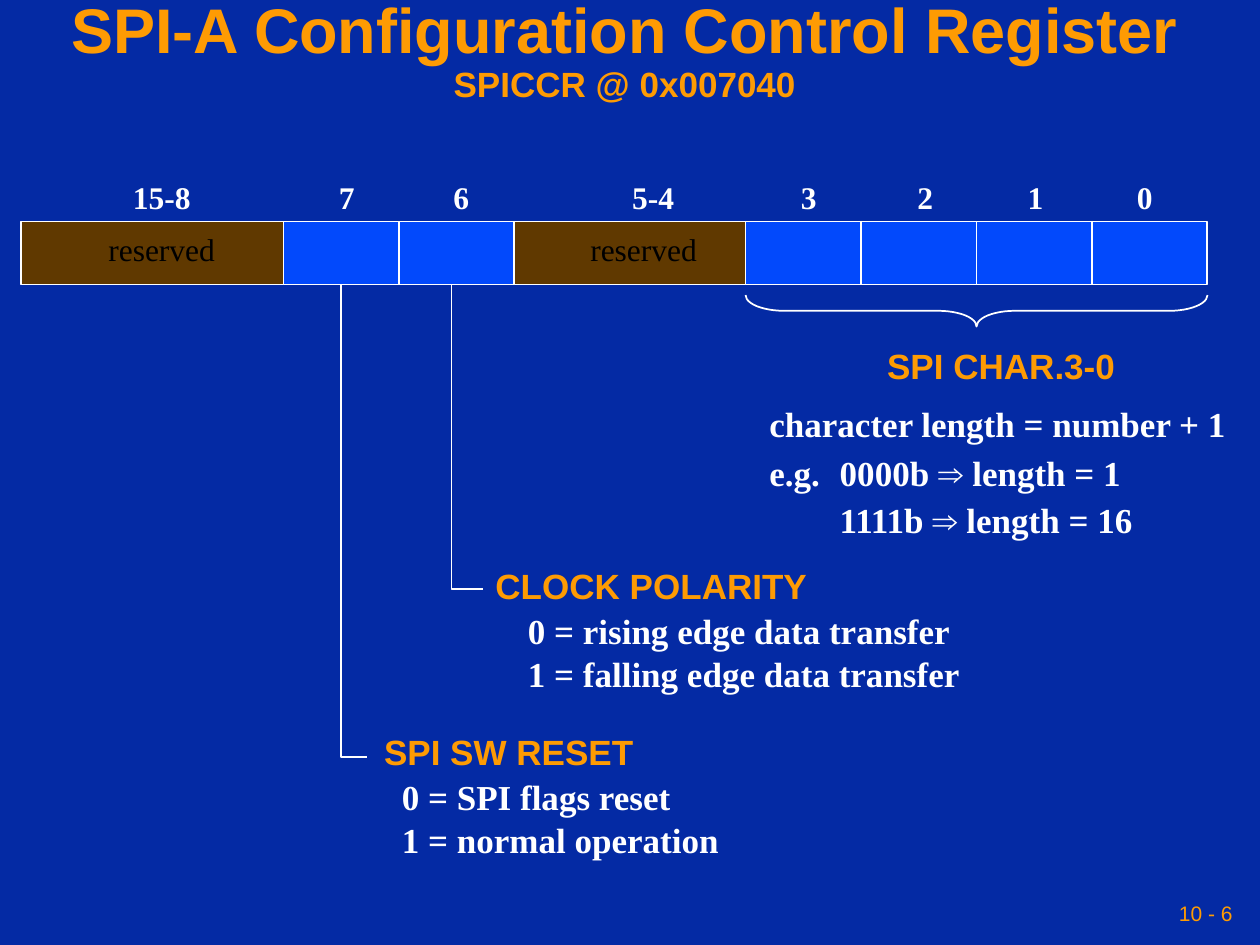
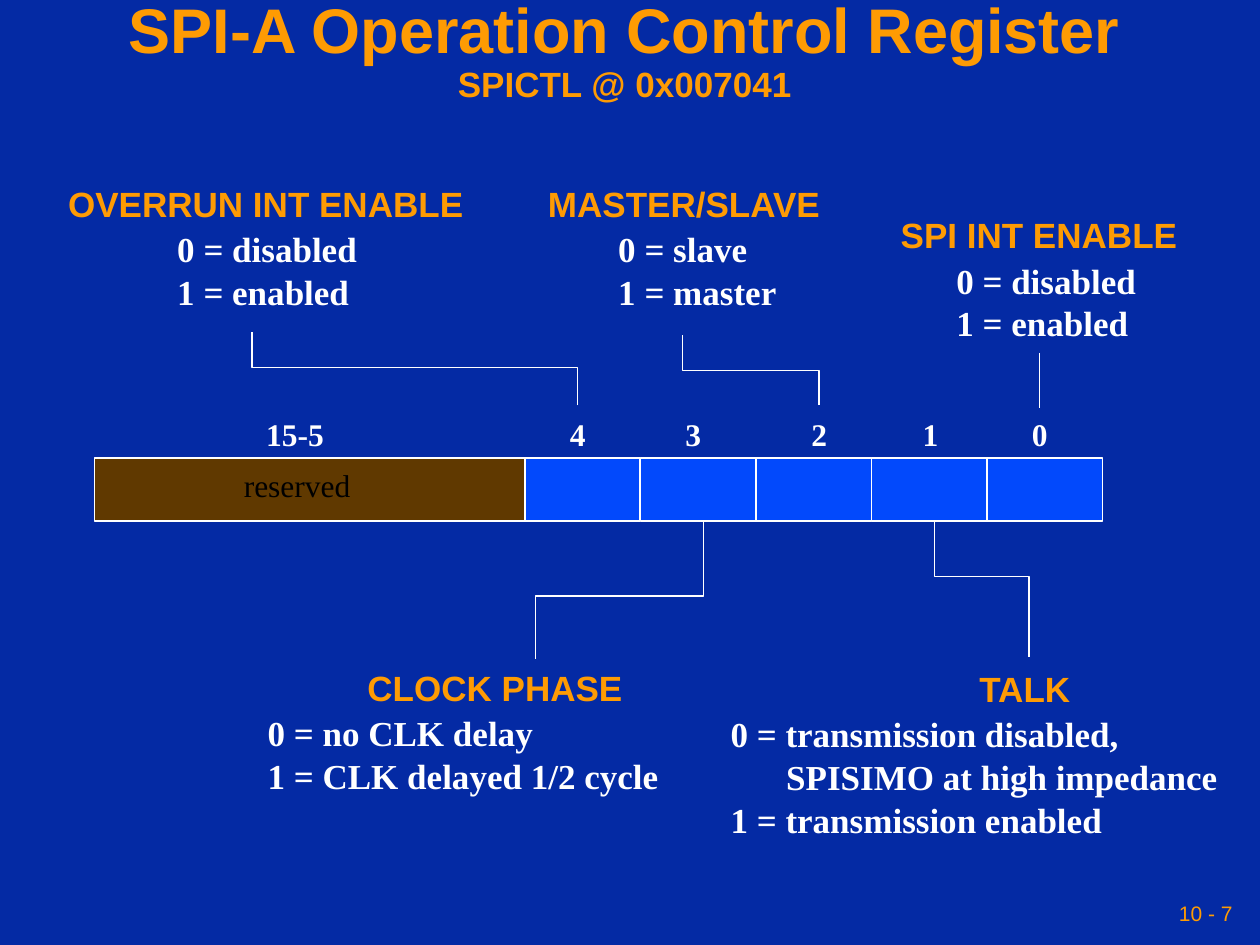
from lxml.etree import SubElement
from pptx import Presentation
from pptx.dml.color import RGBColor
from pptx.enum.shapes import MSO_CONNECTOR as LINK, MSO_SHAPE as SHAPE
from pptx.enum.text import MSO_ANCHOR as ANCHOR, MSO_AUTO_SIZE as FIT, PP_ALIGN as ALIGN
from pptx.oxml.ns import qn
from pptx.util import Pt

PX = 7620  # 120 px to the inch
HUES = {"back": "042AA4", "gold": "FE9B03", "white": "FFFFFF",
        "black": "000000", "bit": "0249FC", "spare": "603900"}
SANS, SERIF = "Arial", "Times New Roman"
# font, size, colour, bold
FONTS = {
    "title": (SANS, 36, "gold", True),
    "head": (SANS, 20, "gold", True),
    "body": (SERIF, 20, "white", True),
    "sign": (SANS, 20, "white", True),
    "label": (SERIF, 18, "white", True),
    "spare": (SERIF, 18, "black", False),
    "page": (SANS, 12, "gold", False),
}
BIT, TALL = 110, 60


def hue(name):
    return RGBColor.from_string(HUES[name])


class Deck:
    def __init__(self):
        self.prs = Presentation()
        self.prs.slide_width, self.prs.slide_height = 1200 * PX, 900 * PX
        fill = self.prs.slide_master.background.fill
        fill.solid()
        fill.fore_color.rgb = hue("back")
        self.slide = self.shapes = None

    def page(self, title, sub, num):
        self.slide = self.prs.slides.add_slide(self.prs.slide_layouts[5])
        self.shapes = self.slide.shapes
        box = self.shapes.title
        box.left, box.top, box.width, box.height = 0, 0, 1190 * PX, 100 * PX
        self.frame(box, ANCHOR.MIDDLE, 6, FIT.NONE, True)
        para = box.text_frame.paragraphs[0]
        para.alignment, para.line_spacing = ALIGN.CENTER, 0.9
        self.run(para, title, "title")
        para.add_line_break()
        self.run(para, sub, "head")
        foot = self.box(820, 850, 360, 40, ANCHOR.MIDDLE, 6, FIT.NONE)
        self.para(foot, [(num, "page")], 1, align=ALIGN.RIGHT)

    def frame(self, box, anchor, side, fit, wrap):
        text = box.text_frame
        text.word_wrap, text.auto_size, text.vertical_anchor = wrap, fit, anchor
        text.margin_left = text.margin_right = side * PX
        text.margin_top = text.margin_bottom = 6 * PX

    def box(self, x, y, w, h, anchor=ANCHOR.MIDDLE, side=12,
            fit=FIT.SHAPE_TO_FIT_TEXT, wrap=True):
        box = self.shapes.add_textbox(x * PX, y * PX, w * PX, h * PX)
        self.frame(box, anchor, side, fit, wrap)
        return box

    def run(self, para, text, style):
        run = para.add_run()
        run.text = text
        font = run.font
        font.name, size, tint, font.bold = FONTS[style]
        font.size = Pt(size)
        font.color.rgb = hue(tint)

    def para(self, box, runs, lines, dent=0, tab=0, align=ALIGN.LEFT):
        """Fill the empty first paragraph, or add one with space before it."""
        frame = box.text_frame
        para = frame.paragraphs[0]
        if para.runs:
            para = frame.add_paragraph()
            para.space_before = Pt(12.5)
        props = para._p.get_or_add_pPr()
        if dent:
            props.set("marL", str(dent * PX))
        if tab:
            stops = SubElement(props, qn("a:tabLst"))
            SubElement(stops, qn("a:tab"), pos=str(tab * PX), algn="l")
        para.alignment, para.line_spacing = align, lines
        for text, style in runs:
            self.run(para, text, style)

    def note(self, x, y, w, h, head, lines, dent=0, shift=0):
        """Gold heading, moved in by shift, over lines of (text, extra indent)."""
        box = self.box(x, y, w, h)
        self.para(box, [(head, "head")], 0.8, shift)
        for text, more in lines:
            self.para(box, [(text, "body")], 0.5, dent + more)

    def word(self, text, style, mid, y, anchor):
        """One centred word around the x position mid."""
        wide = 24 + 14 * len(text)
        box = self.box(mid - wide // 2, y, wide, 41, anchor)
        self.para(box, [(text, style)], 0.8, align=ALIGN.CENTER)

    def edge(self, shape):
        shape.shadow.inherit = False
        shape.line.color.rgb = hue("white")
        shape.line.width = Pt(1)

    def field(self, x, y, w, tint):
        cell = self.shapes.add_shape(SHAPE.RECTANGLE, x * PX, y * PX, w * PX, TALL * PX)
        self.edge(cell)
        cell.fill.solid()
        cell.fill.fore_color.rgb = hue(tint)

    def bar(self, x, y, cells):
        """Cells are (label, label mid) or, if reserved, also (width, word mid)."""
        for label, mid, *spare in cells:
            wide = spare[0] if spare else BIT
            self.field(x, y, wide, "spare" if spare else "bit")
            self.word(label, "label", mid, y - 40, ANCHOR.TOP)
            if spare:
                self.word("reserved", "spare", spare[1], y + 9, ANCHOR.MIDDLE)
            x += wide

    def trace(self, start, *points):
        pen = self.shapes.build_freeform(*start, scale=PX)
        pen.add_line_segments(points, close=False)
        shape = pen.convert_to_shape()
        shape.fill.background()
        self.edge(shape)

    def line(self, x1, y1, x2, y2):
        link = self.shapes.add_connector(LINK.STRAIGHT, x1 * PX, y1 * PX, x2 * PX, y2 * PX)
        link.line.color.rgb = hue("white")
        link.line.width = Pt(1)
        SubElement(link._element.spPr, qn("a:effectLst"))

    def brace(self, x, y, w, h):
        """Brace lying under a span, its tip down."""
        left, top = x + (w - h) // 2, y + (h - w) // 2
        shape = self.shapes.add_shape(SHAPE.RIGHT_BRACE, left * PX, top * PX, h * PX, w * PX)
        shape.rotation = 90
        shape.adjustments[0] = 1.22
        shape.fill.background()
        self.edge(shape)


def config(deck):
    deck.page("SPI-A Configuration Control Register", "SPICCR @ 0x007040", "10 - 6")
    deck.bar(20, 211, [("15-8", 154, 250, 154), ("7", 330), ("6", 439),
                       ("5-4", 622, 220, 613), ("3", 770), ("2", 881),
                       ("1", 986), ("0", 1090)])
    deck.brace(710, 281, 440, 30)
    head = deck.box(758, 342, 391, 29)
    deck.para(head, [("SPI CHAR.3-0", "head")], 0.4, align=ALIGN.CENTER)
    size = deck.box(721, 385, 466, 134)
    deck.para(size, [("character length = number + 1", "body")], 0.8)
    for code, length, dent in (("e.g.\t0000b ", 1, 0), ("1111b ", 16, 67)):
        runs = [(code, "body"), ("⇒", "sign"), (f" length = {length}", "body")]
        deck.para(size, runs, 0.6, dent, tab=67)
    deck.note(354, 697, 350, 126, "SPI SW RESET",
              [("0 = SPI flags reset", 0), ("1 = normal operation", 0)], 17)
    deck.note(460, 539, 474, 126, "CLOCK POLARITY",
              [("0 = rising edge data transfer", 0),
               ("1 = falling edge data transfer", 0)], 31)
    deck.trace((325, 271), (325, 721), (350, 721))
    deck.trace((430, 271), (430, 561), (460, 561))


def control(deck):
    deck.page("SPI-A Operation Control Register", "SPICTL @ 0x007041", "10 - 7")
    deck.bar(90, 436, [("15-5", 281, 410, 283), ("4", 550), ("3", 660),
                       ("2", 780), ("1", 886), ("0", 990)])
    state = [("0 = disabled", 0), ("1 = enabled", 0)]
    deck.note(53, 175, 409, 126, "OVERRUN INT ENABLE", state, 104)
    deck.note(510, 175, 294, 126, "MASTER/SLAVE",
              [("0 = slave", 0), ("1 = master", 0)], 67)
    deck.note(846, 205, 295, 126, "SPI INT ENABLE", state, 53)
    deck.note(243, 636, 404, 126, "CLOCK PHASE",
              [("0 = no CLK delay", 0), ("1 = CLK delayed 1/2 cycle", 0)], shift=95)
    deck.note(684, 637, 516, 167, "TALK",
              [("0 = transmission disabled,", 0), ("SPISIMO at high impedance", 53),
               ("1 = transmission enabled", 0)], shift=237)
    deck.line(990, 336, 990, 389)
    for x, y, bend, far, end in ((550, 386, 350, 240, 316), (780, 386, 353, 650, 319),
                                 (670, 496, 568, 510, 628), (890, 496, 549, 980, 626)):
        deck.trace((x, y), (x, bend), (far, bend), (far, end))


def main():
    deck = Deck()
    config(deck)
    control(deck)
    deck.prs.save("out.pptx")


if __name__ == "__main__":
    main()
